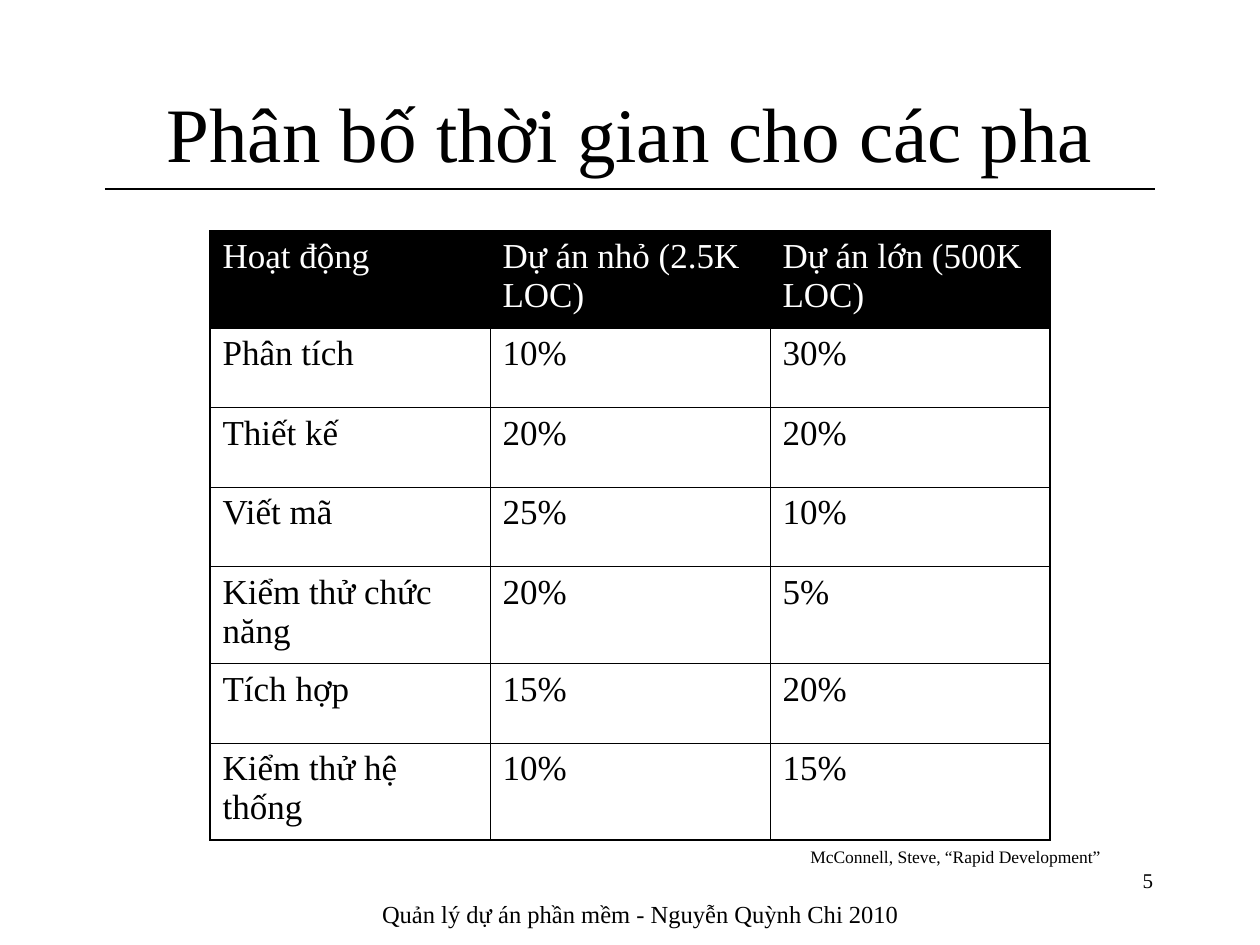
from lxml import etree
from pptx import Presentation
from pptx import util as u
from pptx.dml import color
from pptx.enum import shapes, text
from pptx.oxml import ns

FONT = "Times New Roman"
BLACK, WHITE = "000000", "FFFFFF"
OUTER, INNER = 1.08, 0.45
HEADER = ("Hoạt động", "Dự án nhỏ (2.5K LOC)", "Dự án lớn (500K LOC)")
PHASES = (
    ("Phân tích", "10%", "30%"),
    ("Thiết kế", "20%", "20%"),
    ("Viết mã", "25%", "10%"),
    ("Kiểm thử chức năng", "20%", "5%"),
    ("Tích hợp", "15%", "20%"),
    ("Kiểm thử hệ thống", "10%", "15%"),
)
TALL, SHORT = 55.4, 45.5
ROW_HEIGHTS = (TALL, SHORT, SHORT, SHORT, TALL, SHORT, TALL)


def rgb(value):
    return color.RGBColor.from_string(value)


def write(frame, content, size=20, fill=BLACK, align=text.PP_ALIGN.LEFT,
          anchor=text.MSO_ANCHOR.TOP):
    frame.word_wrap = True
    frame.vertical_anchor = anchor
    paragraph = frame.paragraphs[0]
    paragraph.alignment = align
    run = paragraph.add_run()
    run.text = content
    run.font.name = FONT
    run.font.size = u.Pt(size)
    run.font.color.rgb = rgb(fill)


def set_borders(cell, widths):
    properties = cell._tc.get_or_add_tcPr()
    for index, (side, width) in enumerate(zip("LRTB", widths)):
        line = etree.Element(ns.qn(f"a:ln{side}"), w=str(int(u.Pt(width))))
        solid = etree.SubElement(line, ns.qn("a:solidFill"))
        etree.SubElement(solid, ns.qn("a:srgbClr"), val=BLACK)
        properties.insert(index, line)


class SlideBuilder:
    """Holds the current slide and draws each kind of element in one style."""

    def __init__(self, presentation):
        self.slide = presentation.slides.add_slide(presentation.slide_layouts[6])
        background = self.slide.background.fill
        background.solid()
        background.fore_color.rgb = rgb(WHITE)

    def rule(self, left, right, top):
        line = self.slide.shapes.add_connector(
            shapes.MSO_CONNECTOR.STRAIGHT, u.Pt(left), u.Pt(top), u.Pt(right), u.Pt(top))
        line.line.color.rgb = rgb(BLACK)
        line.line.width = u.Pt(0.75)
        etree.SubElement(line._element.spPr, ns.qn("a:effectLst"))

    def label(self, content, left, top, width, height, **style):
        shape = self.slide.shapes.add_textbox(*map(u.Pt, (left, top, width, height)))
        write(shape.text_frame, content, **style)

    def table(self, rows, left, top, column_width, heights):
        last_row, last_column = len(rows) - 1, len(rows[0]) - 1
        frame = self.slide.shapes.add_table(
            len(rows), len(rows[0]), u.Pt(left), u.Pt(top),
            u.Pt(column_width * len(rows[0])), u.Pt(sum(heights)))
        table = frame.table
        table.first_row = table.horz_banding = False
        for column in table.columns:
            column.width = u.Pt(column_width)
        for r, (values, height) in enumerate(zip(rows, heights)):
            table.rows[r].height = u.Pt(height)
            for c, value in enumerate(values):
                cell = table.cell(r, c)
                if r == 0:
                    cell.fill.solid()
                    cell.fill.fore_color.rgb = rgb(BLACK)
                else:
                    cell.fill.background()
                write(cell.text_frame, value, fill=BLACK if r else WHITE)
                edges = (c == 0, c == last_column, r == 0, r == last_row)
                set_borders(cell, [OUTER if edge else INNER for edge in edges])


def main():
    presentation = Presentation()
    presentation.slide_width, presentation.slide_height = u.Pt(720), u.Pt(540)
    builder = SlideBuilder(presentation)
    builder.rule(60, 660, 108)
    builder.label("Quản lý dự án phần mềm - Nguyễn Quỳnh Chi 2010", 186, 510, 360, 18,
                  size=14, align=text.PP_ALIGN.CENTER)
    builder.label("5", 564, 492, 102, 36, size=12, align=text.PP_ALIGN.RIGHT)
    builder.label("Phân bố thời gian cho các pha", 54, 30, 612, 90, size=44,
                  align=text.PP_ALIGN.CENTER, anchor=text.MSO_ANCHOR.MIDDLE)
    builder.table((HEADER, *PHASES), 120, 132, 160, ROW_HEIGHTS)
    builder.label("McConnell, Steve, “Rapid Development”", 456, 480, 192, 19.2, size=10)
    presentation.save("out.pptx")


if __name__ == "__main__":
    main()
